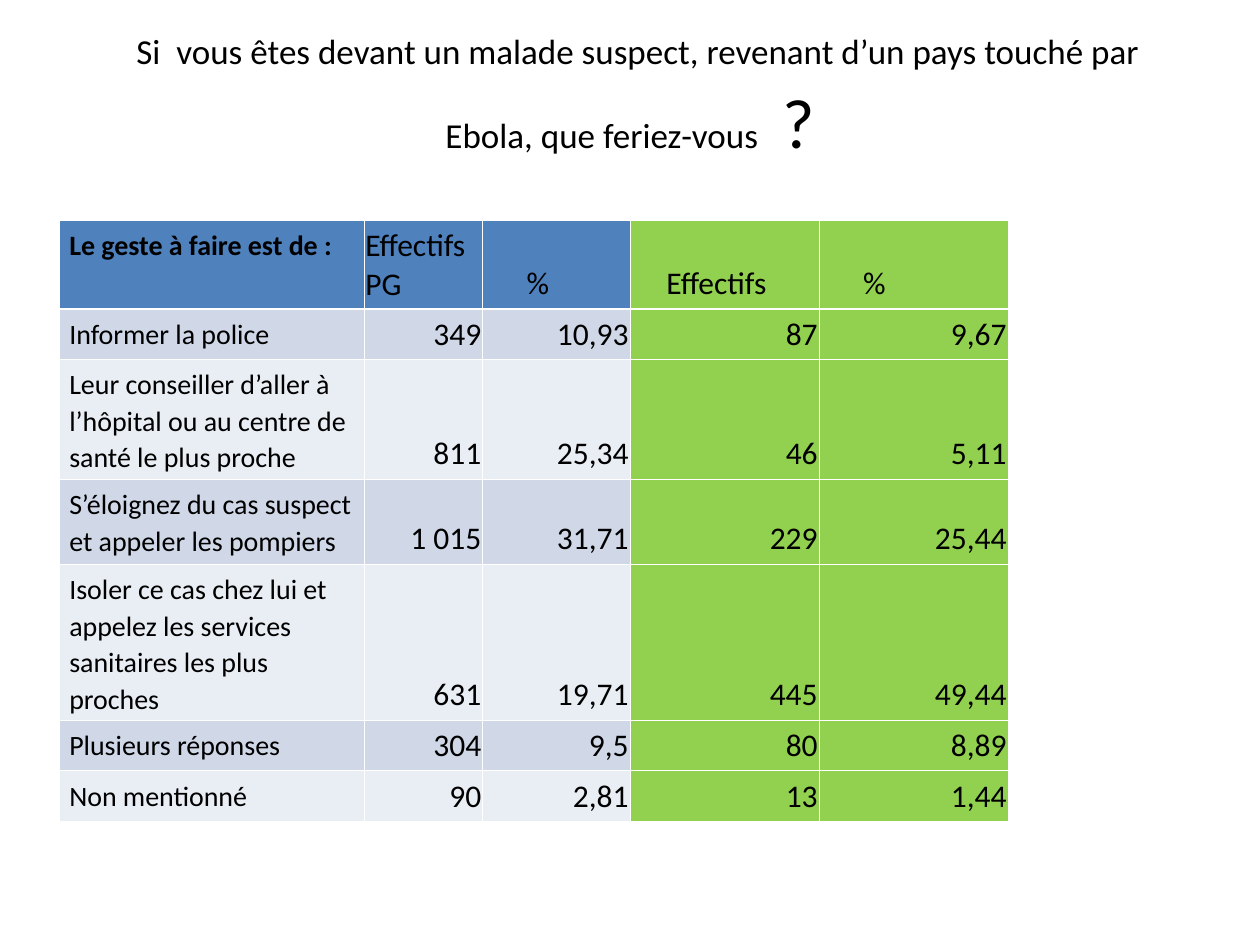
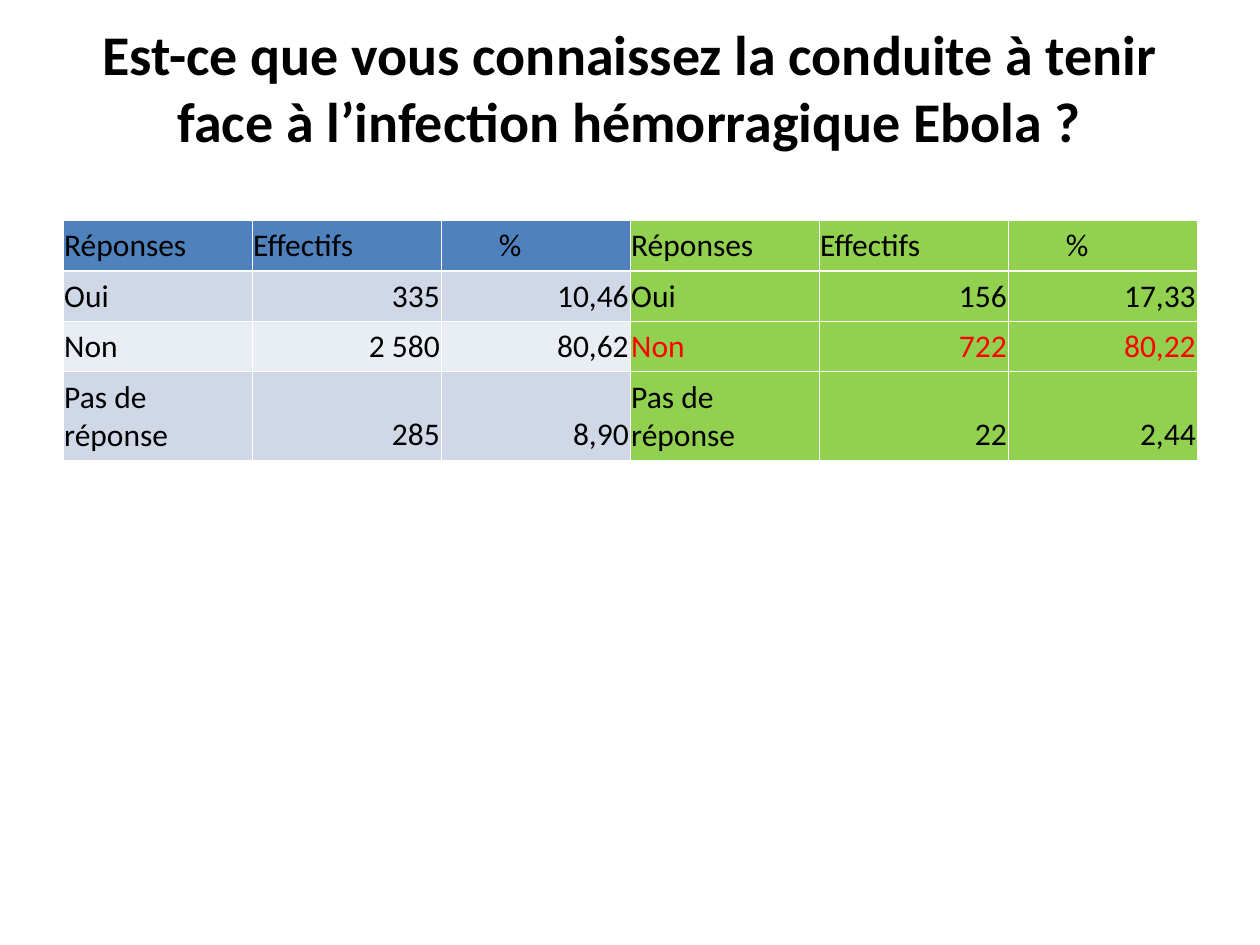
import pptx
import pptx.util
import pptx.dml.color
import pptx.enum.text
import pptx.oxml
import pptx.oxml.ns

Inches, Pt = pptx.util.Inches, pptx.util.Pt
ALIGN, ANCHOR = pptx.enum.text.PP_ALIGN, pptx.enum.text.MSO_ANCHOR
COLORS = {
    "black": "000000", "white": "FFFFFF", "red": "FF0000",
    "head": "4F81BD", "odd": "D0D8E8", "even": "E9EDF4", "green": "92D050",
}
FONT = "Calibri"
THIN, THICK = 0.45, 1.47

GESTURES = [
    ("Le geste à faire est de :", "Effectifs\nPG", "%", "Effectifs", "%"),
    ("Informer la police", "349", "10,93", "87", "9,67"),
    ("Leur conseiller d’aller à l’hôpital ou au centre de santé le plus proche",
     "811", "25,34", "46", "5,11"),
    ("S’éloignez du cas suspect et appeler les pompiers",
     "1 015", "31,71", "229", "25,44"),
    ("Isoler ce cas chez lui et appelez les services sanitaires les plus proches",
     "631", "19,71", "445", "49,44"),
    ("Plusieurs réponses", "304", "9,5", "80", "8,89"),
    ("Non mentionné", "90", "2,81", "13", "1,44"),
]
ANSWERS = [
    ("Réponses", "Effectifs", "%") * 2,
    ("Oui", "335", "10,46", "Oui", "156", "17,33"),
    ("Non", "2 580", "80,62", "Non", "722", "80,22"),
    ("Pas de réponse", "285", "8,90", "Pas de réponse", "22", "2,44"),
]


def rgb(name):
    return pptx.dml.color.RGBColor.from_string(COLORS[name])


def add_run(para, text, size=18, bold=False, color="black"):
    run = para.add_run()
    run.text = text
    font = run.font
    font.name, font.size, font.bold = FONT, Pt(size), bold
    font.color.rgb = rgb(color)


def write(frame, text, align=ALIGN.LEFT, indent=0, spacing=None, **style):
    """Put each line of text in its own paragraph."""
    for i, line in enumerate(text.split("\n")):
        para = frame.add_paragraph() if i else frame.paragraphs[0]
        para.alignment = align
        if spacing:
            para.line_spacing = spacing
        if indent:
            props = para._p.get_or_add_pPr()
            props.set("marL", str(Inches(indent)))
            props.set("indent", "0")
        add_run(para, line, **style)


def add_title(slide, parts, foot):
    """Centre (text, size, bold) parts above a foot inset in inches."""
    box = slide.shapes.add_textbox(Inches(0.5), Inches(0.3), Inches(9), Inches(1.25))
    frame = box.text_frame
    frame.word_wrap = True
    frame.vertical_anchor = ANCHOR.MIDDLE
    frame.margin_bottom = Inches(foot)
    para = frame.paragraphs[0]
    para.alignment = ALIGN.CENTER
    for text, size, bold in parts:
        add_run(para, text, size, bold)


def set_edges(cell, row):
    """Draw white borders, thick between the header and the first row."""
    props = cell._tc.get_or_add_tcPr()
    thick = {"T": row == 1, "B": row == 0}
    for i, side in enumerate("LRTB"):
        width = Pt(THICK if thick.get(side) else THIN)
        edge = pptx.oxml.parse_xml(
            f'<a:ln{side} {pptx.oxml.ns.nsdecls("a")} w="{width}"><a:solidFill>'
            f'<a:srgbClr val="{COLORS["white"]}"/></a:solidFill></a:ln{side}>')
        props.insert(i, edge)


def pick_fill(row, col, split):
    if col >= split:
        return "green"
    if row == 0:
        return "head"
    return "odd" if row % 2 else "even"


def add_grid(slide, left, rows, widths, heights, split, indents, labels=False, red=None):
    """Build a table that turns green from column split; labels styles column 0."""
    frame = slide.shapes.add_table(
        len(rows), len(widths), Inches(left), Inches(1.75),
        Inches(sum(widths)), Inches(sum(heights)))
    table = frame.table
    for col, width in zip(table.columns, widths):
        col.width = Inches(width)
    for row, height in zip(table.rows, heights):
        row.height = Inches(height)
    for r, texts in enumerate(rows):
        for c, text in enumerate(texts):
            cell = table.cell(r, c)
            label = labels and c == 0
            cell.margin_left = cell.margin_right = Inches(0.08 if label else 0.01)
            cell.margin_top = cell.margin_bottom = Inches(0.05)
            cell.vertical_anchor = ANCHOR.TOP if label else ANCHOR.BOTTOM
            cell.fill.solid()
            cell.fill.fore_color.rgb = rgb(pick_fill(r, c, split))
            set_edges(cell, r)
            write(cell.text_frame, text,
                  align=ALIGN.RIGHT if text[0].isdigit() else ALIGN.LEFT,
                  indent=indents.get(c, 0) if r == 0 else 0,
                  spacing=1.07 if label else None,
                  size=16 if label else 18,
                  bold=label and r == 0,
                  color="red" if r == red and c >= split else "black")


def main():
    deck = pptx.Presentation()
    deck.slide_width, deck.slide_height = Inches(10), Inches(7.5)
    blank = deck.slide_layouts[6]

    slide = deck.slides.add_slide(blank)
    add_title(slide, [
        (" ", 40, False),
        ("Si  vous êtes devant un malade suspect, revenant d’un pays touché par "
         "Ebola, que feriez-vous ", 20, False),
        (" ?", 40, False),
    ], foot=0.65)
    add_grid(slide, 0.47, GESTURES, [2.42, 0.94, 1.17, 1.5, 1.5],
             [0.62, 0.39, 0.87, 0.58, 1.16, 0.39, 0.39], split=3,
             indents={2: 0.34, 3: 0.28, 4: 0.34}, labels=True)

    slide = deck.slides.add_slide(blank)
    add_title(slide, [
        ("Est-ce que vous connaissez la conduite à tenir face à l’infection "
         "hémorragique Ebola ?", 32, True),
    ], foot=0.52)
    add_grid(slide, 0.5, ANSWERS, [1.5] * 6, [0.4, 0.4, 0.4, 0.62], split=3,
             indents={2: 0.45, 5: 0.45}, red=2)

    deck.save("out.pptx")


if __name__ == "__main__":
    main()
